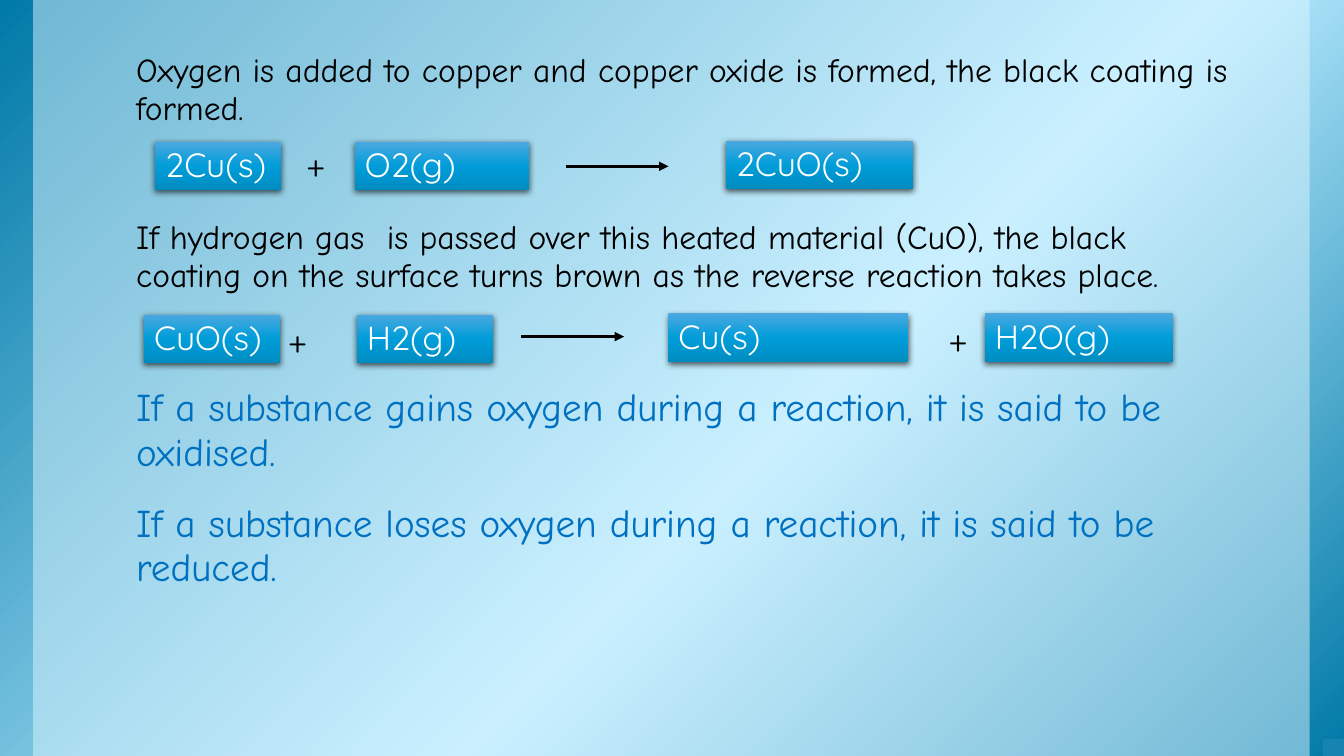
"""Build a slide on oxidation and reduction of copper."""
from dataclasses import dataclass

from lxml import etree
from pptx import Presentation
from pptx import util as u
from pptx.dml.color import RGBColor
from pptx.enum import shapes, text
from pptx.oxml import ns

BODY_FONT, LABEL_FONT = "Comic Neue", "Quicksand"
BLACK, WHITE, BLUE = "000000", "FFFFFF", "0070C0"
BOX_STOPS = [(0, "4BA8E0"), (50, "009DD9"), (100, "008CC1")]
BACK_STOPS = [(0, "0079A7"), (58, "B9EBFF"), (100, "0079A7")]
LABEL_H = 0.48


@dataclass
class Label:
    text: str
    x: float
    y: float
    w: float
    wrap: bool = True


@dataclass
class Plus:
    x: float
    y: float


@dataclass
class Arrow:
    x: float
    y: float
    length: float = 1.02


@dataclass
class Statement:
    text: str
    size: float
    color: str
    before: float


ITEMS = [
    Label("2Cu(s)", 1.54, 1.41, 1.25, False),
    Plus(2.94, 1.41),
    Label("O2(g)", 3.52, 1.41, 1.73),
    Arrow(5.61, 1.65),
    Label("2CuO(s)", 7.2, 1.4, 1.86),
    Label("CuO(s)", 1.43, 3.12, 1.35, False),
    Plus(2.76, 3.15),
    Label("H2(g)", 3.54, 3.12, 1.35),
    Arrow(5.17, 3.34),
    Label("Cu(s)", 6.63, 3.11, 2.38),
    Plus(9.31, 3.14),
    Label("H2O(g)", 9.77, 3.11, 1.86),
]

STATEMENTS = [
    Statement("Oxygen is added to copper and copper oxide is formed, "
              "the black coating is formed.", 24, BLACK, 0),
    Statement("If hydrogen gas  is passed over this heated material (CuO), the black "
              "coating on the surface turns brown as the reverse reaction takes place.",
              24, BLACK, 64.7),
    Statement("If a substance gains oxygen during a reaction, it is said to be oxidised.",
              28, BLUE, 64.7),
    Statement("If a substance loses oxygen during a reaction, it is said to be reduced.",
              28, BLUE, 18.7),
]


def rgb(value: str) -> RGBColor:
    return RGBColor.from_string(value)


def add_color(parent, value: str):
    return etree.SubElement(parent, ns.qn("a:srgbClr"), val=value)


def set_alpha(color, percent: int) -> None:
    etree.SubElement(color, ns.qn("a:alpha"), val=str(percent * 1000))


def set_gradient(s, stops: list, angle: int) -> None:
    s.fill.gradient()
    s.fill.gradient_angle = 360 - angle
    stop_list = s.element.spPr.find(".//" + ns.qn("a:gsLst"))
    for old in list(stop_list):
        stop_list.remove(old)
    for pos, value in stops:
        add_color(etree.SubElement(stop_list, ns.qn("a:gs"), pos=str(pos * 1000)), value)


def add_rect(slide, x: float, y: float, w: float, h: float, color: str = WHITE):
    s = slide.shapes.add_shape(shapes.MSO_SHAPE.RECTANGLE, u.Inches(x), u.Inches(y),
                               u.Inches(w), u.Inches(h))
    s.shadow.inherit = False
    s.line.fill.background()
    s.fill.solid()
    s.fill.fore_color.rgb = rgb(color)
    return s


def add_textbox(slide, x: float, y: float, w: float, h: float):
    return slide.shapes.add_textbox(u.Inches(x), u.Inches(y), u.Inches(w), u.Inches(h))


def write(p, words: str, *, size: float = 24, color: str = BLACK,
          font: str = LABEL_FONT, before: float = 0) -> None:
    p.alignment = text.PP_ALIGN.LEFT
    p.line_spacing = 0.95
    p.space_before = u.Pt(before)
    r = p.add_run()
    r.text = words
    r.font.size, r.font.name = u.Pt(size), font
    r.font.color.rgb = rgb(color)


def fit_label(s, words: str, color: str, wrap: bool) -> None:
    tf = s.text_frame
    tf.word_wrap = wrap
    tf.auto_size = text.MSO_AUTO_SIZE.SHAPE_TO_FIT_TEXT
    tf.vertical_anchor = text.MSO_ANCHOR.TOP
    write(tf.paragraphs[0], words, color=color)


def draw_label(slide, item: Label) -> None:
    s = add_rect(slide, item.x, item.y, item.w, LABEL_H)
    set_gradient(s, BOX_STOPS, 90)
    effects = s.element.spPr.find(ns.qn("a:effectLst"))
    shadow = etree.SubElement(effects, ns.qn("a:outerShdw"), blurRad=str(u.Pt(4.5)),
                              dist=str(u.Pt(1.5)), dir="5400000", rotWithShape="0")
    set_alpha(add_color(shadow, BLACK), 63)
    fit_label(s, item.text, WHITE, item.wrap)


def draw_plus(slide, item: Plus) -> None:
    fit_label(add_textbox(slide, item.x, item.y, 0.41, LABEL_H), "+", BLACK, False)


def draw_arrow(slide, item: Arrow) -> None:
    y = u.Inches(item.y)
    s = slide.shapes.add_connector(shapes.MSO_CONNECTOR.STRAIGHT, u.Inches(item.x), y,
                                   u.Inches(item.x + item.length), y)
    s.line.color.rgb = rgb(BLACK)
    s.line.width = u.Pt(2.25)
    etree.SubElement(s.line._get_or_add_ln(), ns.qn("a:tailEnd"), type="triangle")
    etree.SubElement(s.element.spPr, ns.qn("a:effectLst"))


def draw_background(slide) -> None:
    set_gradient(add_rect(slide, 0, 0, 13.33, 7.5), BACK_STOPS, 45)
    s = add_rect(slide, 0.33, 0, 12.66, 7.5, "DCF5FF")
    set_alpha(s.element.spPr.find(".//" + ns.qn("a:srgbClr")), 50)


def draw_statements(slide) -> None:
    tf = add_textbox(slide, 1.22, 0.44, 11.11, 6.31).text_frame
    tf.word_wrap = True
    tf.margin_left = tf.margin_right = u.Inches(0.13)
    tf.margin_top = tf.margin_bottom = u.Inches(0.07)
    for i, item in enumerate(STATEMENTS):
        p = tf.add_paragraph() if i else tf.paragraphs[0]
        write(p, item.text, size=item.size, color=item.color, font=BODY_FONT,
              before=item.before)


def main() -> None:
    prs = Presentation()
    prs.slide_width, prs.slide_height = u.Inches(13.33), u.Inches(7.5)
    slide = prs.slides.add_slide(prs.slide_layouts[6])
    draw_background(slide)
    draw_statements(slide)
    draw = {Label: draw_label, Plus: draw_plus, Arrow: draw_arrow}
    for item in ITEMS:
        draw[type(item)](slide, item)
    add_rect(slide, 13.12, 7.33, 0.21, 0.17, "1684B0")
    prs.save("out.pptx")


if __name__ == "__main__":
    main()
